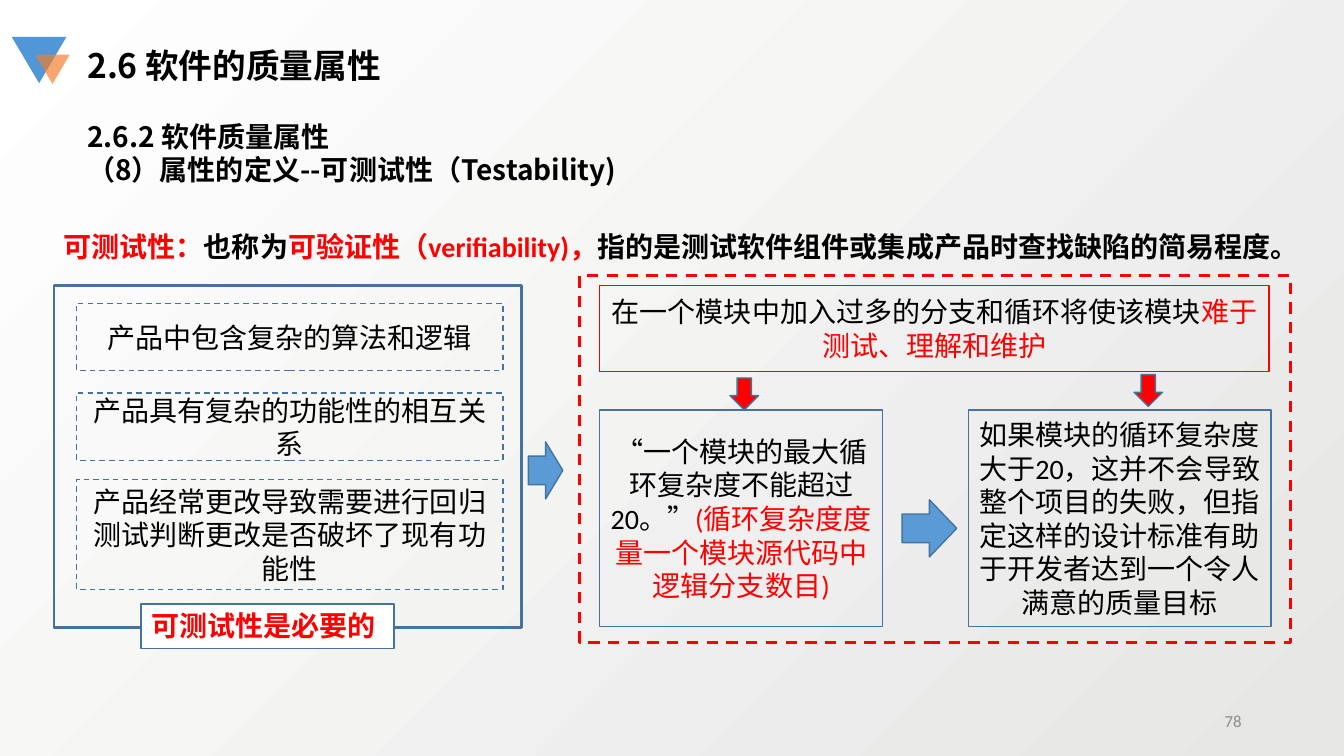
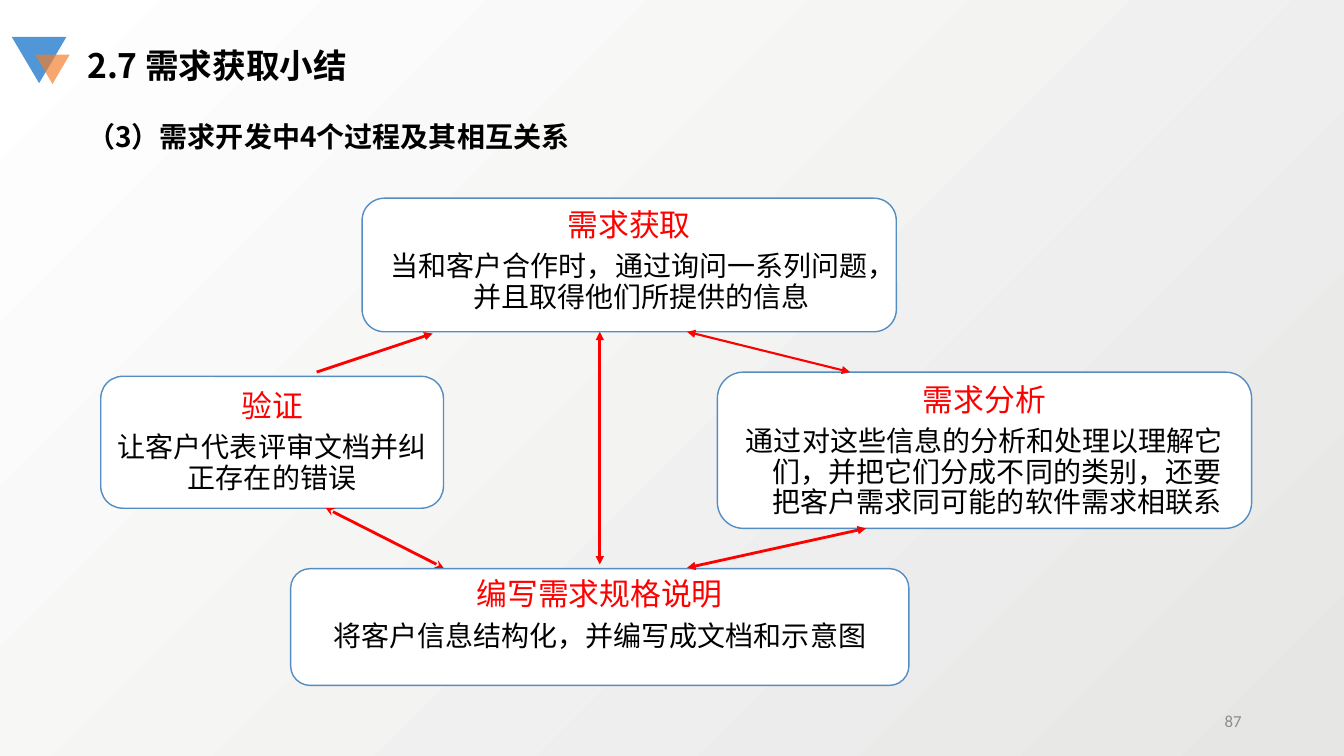
from dataclasses import dataclass
from typing import NamedTuple

from lxml import etree
from pptx import Presentation
from pptx.dml.color import RGBColor
from pptx.enum.dml import MSO_LINE
from pptx.enum.shapes import MSO_CONNECTOR, MSO_SHAPE
from pptx.enum.text import MSO_ANCHOR, PP_ALIGN
from pptx.oxml.ns import qn
from pptx.shapes.autoshape import Shape
from pptx.slide import Slide
from pptx.util import Inches, Pt

RECT, ROUNDED = MSO_SHAPE.RECTANGLE, MSO_SHAPE.ROUNDED_RECTANGLE
TRIANGLE = MSO_SHAPE.ISOSCELES_TRIANGLE
RIGHT_ARROW, DOWN_ARROW = MSO_SHAPE.RIGHT_ARROW, MSO_SHAPE.DOWN_ARROW
LEFT, CENTER, RIGHT = PP_ALIGN.LEFT, PP_ALIGN.CENTER, PP_ALIGN.RIGHT
TOP, MIDDLE = MSO_ANCHOR.TOP, MSO_ANCHOR.MIDDLE
DASH = MSO_LINE.DASH
STRAIGHT = MSO_CONNECTOR.STRAIGHT

SLIDE_W, SLIDE_H = Inches(13.33), Inches(7.5)
COL, ROW = SLIDE_W / 16, SLIDE_H / 9


@dataclass(frozen=True)
class Theme:
    black: str = "000000"
    white: str = "FFFFFF"
    red: str = "FF0000"
    gray: str = "8C8C8C"
    shade: str = "E6E6E5"
    outline: str = "43739E"
    card_outline: str = "538DC1"
    arrow: str = "5B9BD5"
    logo_blue: str = "5197D7"
    logo_orange: str = "F37D2A"
    body_font: str = "Calibri"
    head_font: str = "Noto Sans CJK SC"
    review_font: str = "Arial"
    title: int = 24
    card_title: int = 22
    body: int = 20
    page: int = 12


T = Theme()


class Box(NamedTuple):
    """Left, top, width and height in grid columns and rows."""
    x: float
    y: float
    w: float
    h: float


class Run(NamedTuple):
    text: str
    color: str = T.black


@dataclass(frozen=True)
class Para:
    runs: tuple[Run, ...]
    size: int = T.body
    font: str = T.body_font
    bold: bool = False
    align: PP_ALIGN = CENTER
    spacing: float = 1.0
    after: float = 0
    hanging: float = 0


@dataclass(frozen=True)
class Panel:
    box: Box
    paras: tuple[Para, ...] = ()
    kind: MSO_SHAPE = RECT
    fill: str | None = None
    line: str | None = T.outline
    weight: float = 1
    dashed: bool = False
    anchor: MSO_ANCHOR = MIDDLE


@dataclass(frozen=True)
class Card:
    box: Box
    title: str
    detail: str
    font: str = T.head_font
    after: float = 3
    hanging: float = 0.25
    anchor: MSO_ANCHOR = TOP


@dataclass(frozen=True)
class Link:
    start: tuple[float, float]
    end: tuple[float, float]
    head: str | None = "triangle"
    tail: str = "triangle"
    weight: float = 2


def rgb(color: str) -> RGBColor:
    return RGBColor.from_string(color)


def place(box: Box) -> tuple[int, int, int, int]:
    return (round(box.x * COL), round(box.y * ROW),
            round(box.w * COL), round(box.h * ROW))


def centered(*runs: Run) -> tuple[Para, ...]:
    return (Para(runs),)


def heading(text: str, size: int = T.body) -> Para:
    return Para((Run(text),), size, T.head_font, True, LEFT)


def write(sp: Shape, paras: tuple[Para, ...], anchor: MSO_ANCHOR = TOP) -> None:
    tf = sp.text_frame
    tf.word_wrap = True
    tf.vertical_anchor = anchor
    for i, para in enumerate(paras):
        p = tf.add_paragraph() if i else tf.paragraphs[0]
        p.alignment = para.align
        p.line_spacing = para.spacing
        p.space_after = Pt(para.after)
        p.font.name, p.font.size, p.font.bold = para.font, Pt(para.size), para.bold
        p.font.color.rgb = rgb(para.runs[0].color)
        if para.hanging:
            pPr = p._p.get_or_add_pPr()
            pPr.set("marL", str(Inches(para.hanging)))
            pPr.set("indent", str(-Inches(para.hanging)))
        for run in para.runs:
            r = p.add_run()
            r.text = run.text
            if run.color != para.runs[0].color:
                r.font.color.rgb = rgb(run.color)


def add_text(s: Slide, box: Box, *paras: Para, anchor: MSO_ANCHOR = TOP) -> None:
    write(s.shapes.add_textbox(*place(box)), paras, anchor)


def add_panel(s: Slide, panel: Panel) -> Shape:
    sp = s.shapes.add_shape(panel.kind, *place(panel.box))
    sp.shadow.inherit = False
    if panel.fill:
        sp.fill.solid()
        sp.fill.fore_color.rgb = rgb(panel.fill)
    else:
        sp.fill.background()
    if panel.line:
        sp.line.color.rgb = rgb(panel.line)
        sp.line.width = Pt(panel.weight)
        if panel.dashed:
            sp.line.dash_style = DASH
    else:
        sp.line.fill.background()
    if panel.paras:
        write(sp, panel.paras, panel.anchor)
    return sp


def add_card(s: Slide, card: Card) -> None:
    paras = (
        Para((Run(card.title, T.red),), T.card_title, spacing=0.9, after=7),
        Para((Run(card.detail),), font=card.font, spacing=0.9,
             after=card.after, hanging=card.hanging),
    )
    add_panel(s, Panel(card.box, paras, ROUNDED, T.white, T.card_outline,
                       anchor=card.anchor))


def add_link(s: Slide, link: Link) -> None:
    (x1, y1), (x2, y2) = link.start, link.end
    c = s.shapes.add_connector(STRAIGHT, round(x1 * COL), round(y1 * ROW),
                               round(x2 * COL), round(y2 * ROW))
    c.line.color.rgb = rgb(T.red)
    c.line.width = Pt(link.weight)
    ln = c.line._get_or_add_ln()
    for tag, style in (("a:headEnd", link.head), ("a:tailEnd", link.tail)):
        if style:
            etree.SubElement(ln, qn(tag), type=style)
    etree.SubElement(c._element.spPr, qn("a:effectLst"))


def set_background(prs: Presentation) -> None:
    """Shade the master from the lower right to a white upper left."""
    fill = prs.slide_master.background.fill
    fill.gradient()
    fill.gradient_angle = 135
    for stop, position, color in zip(fill.gradient_stops, (0, 1), (T.shade, T.white)):
        stop.position = position
        stop.color.rgb = rgb(color)


def add_base(prs: Presentation, title: str, page: int, *subtitles: str) -> Slide:
    """Add a slide with its corner mark, title, subtitles and page number."""
    s = prs.slides.add_slide(prs.slide_layouts[6])
    for box, color in ((Box(0.14, 0.44, 0.65, 0.55), T.logo_blue),
                       (Box(0.42, 0.65, 0.41, 0.35), T.logo_orange)):
        sp = add_panel(s, Panel(box, kind=TRIANGLE, fill=color, line=None))
        sp.rotation = 180
    clr = sp._element.spPr.find(qn("a:solidFill"))[0]
    etree.SubElement(clr, qn("a:alpha"), val="68000")
    add_text(s, Box(0.92, 0.48, 4.02, 0.6), heading(title, T.title))
    add_text(s, Box(0.92, 1.36, 10.19, 0.92), *map(heading, subtitles))
    number = Para((Run(str(page), T.gray),), T.page, align=RIGHT)
    add_text(s, Box(11.3, 8.34, 3.6, 0.48), number, anchor=MIDDLE)
    return s


def build_testability(prs: Presentation) -> None:
    s = add_base(prs, "2.6 软件的质量属性", 78, "2.6.2 软件质量属性",
                 "（8）属性的定义--可测试性（Testability)")
    definition = (Run("可测试性：", T.red), Run("也称为"),
                  Run("可验证性（verifiability)，", T.red),
                  Run("指的是测试软件组件或集成产品时查找缺陷的简易程度。"))
    add_text(s, Box(0.64, 2.47, 14.74, 0.92),
             Para(definition, bold=True, align=LEFT), anchor=MIDDLE)

    reasons = ((3.61, 0.8, "产品中包含复杂的算法和逻辑"),
               (4.68, 0.8, "产品具有复杂的功能性的相互关系"),
               (5.71, 1.31, "产品经常更改导致需要进行回归测试判断更改是否破坏了现有功能性"))
    for y, h, text in reasons:
        add_panel(s, Panel(Box(0.91, y, 5.08, h), centered(Run(text)), dashed=True))

    need = Para((Run("可测试性是必要的", T.red),), bold=True, align=LEFT)
    rule = centered(Run("在一个模块中加入过多的分支和循环将使该模块"),
                    Run("难于测试、理解和维护", T.red))
    limit = centered(Run("“一个模块的最大循环复杂度不能超过20。”"),
                     Run("(循环复杂度度量一个模块源代码中逻辑分支数目)", T.red))
    goal = centered(Run("如果模块的循环复杂度大于20，这并不会导致整个项目的失败，"
                        "但指定这样的设计标准有助于开发者达到一个令人满意的质量目标"))
    panels = (
        Panel(Box(0.64, 3.4, 5.57, 4.07), weight=1.75),
        Panel(Box(1.68, 7.19, 3.01, 0.53), (need,), fill=T.white, weight=1.25,
              anchor=TOP),
        Panel(Box(7.14, 3.4, 7.97, 1.02), rule, line=T.red),
        Panel(Box(11.53, 4.88, 3.6, 2.58), goal),
        Panel(Box(7.14, 4.88, 3.37, 2.58), limit),
        Panel(Box(6.9, 3.28, 8.46, 4.37), line=T.red, weight=2, dashed=True),
        Panel(Box(6.29, 5.26, 0.41, 0.68), kind=RIGHT_ARROW, fill=T.arrow),
        Panel(Box(10.74, 5.95, 0.65, 0.68), kind=RIGHT_ARROW, fill=T.arrow),
        Panel(Box(8.69, 4.5, 0.34, 0.38), kind=DOWN_ARROW, fill=T.red),
        Panel(Box(13.5, 4.46, 0.34, 0.38), kind=DOWN_ARROW, fill=T.red),
    )
    for panel in panels:
        add_panel(s, panel)


def build_processes(prs: Presentation) -> None:
    s = add_base(prs, "2.7 需求获取小结", 87, "（3）需求开发中4个过程及其相互关系")
    cards = (
        Card(Box(4.31, 2.36, 6.36, 1.59), "需求获取",
             "当和客户合作时，通过询问一系列问题，并且取得他们所提供的信息"),
        Card(Box(8.54, 4.43, 6.36, 1.86), "需求分析",
             "通过对这些信息的分析和处理以理解它们，并把它们分成不同的类别，"
             "还要把客户需求同可能的软件需求相联系"),
        Card(Box(3.46, 6.77, 7.36, 1.39), "编写需求规格说明",
             "将客户信息结构化，并编写成文档和示意图"),
        Card(Box(1.2, 4.48, 4.08, 1.57), "验证", "让客户代表评审文档并纠正存在的错误",
             T.review_font, after=7, hanging=0, anchor=MIDDLE),
    )
    for card in cards:
        add_card(s, card)
    links = (
        Link((8.18, 3.95), (10.12, 4.43), weight=1.5),
        Link((10.31, 6.29), (8.18, 6.76)),
        Link((5.28, 6.76), (3.88, 6.05), "stealth", "stealth"),
        Link((3.77, 4.43), (5.15, 3.97), head=None),
        Link((7.14, 6.72), (7.14, 3.95)),
    )
    for link in links:
        add_link(s, link)


def main() -> None:
    prs = Presentation()
    prs.slide_width, prs.slide_height = SLIDE_W, SLIDE_H
    set_background(prs)
    build_testability(prs)
    build_processes(prs)
    prs.save("out.pptx")


if __name__ == "__main__":
    main()
